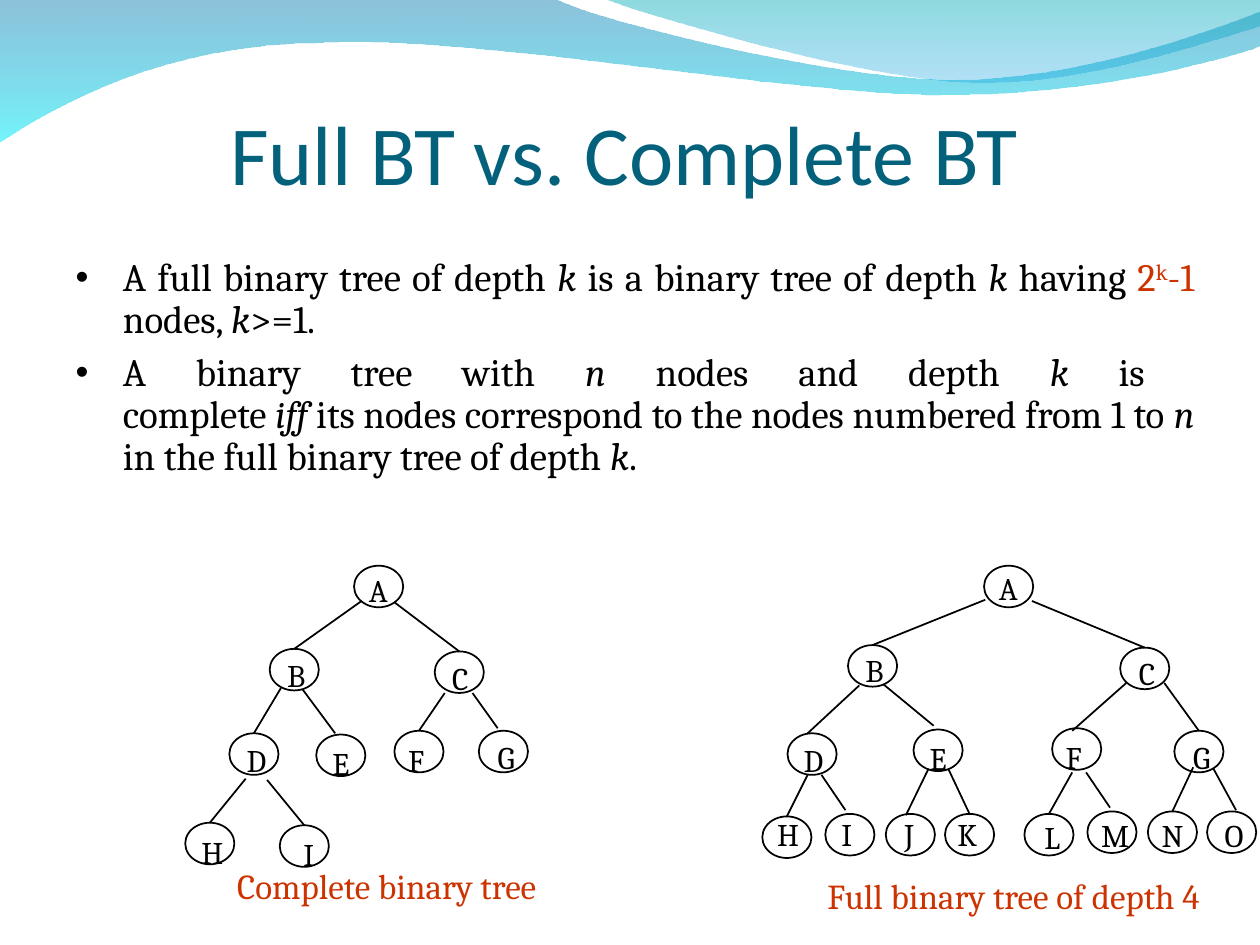
from dataclasses import dataclass
from typing import Any, NamedTuple, Optional

from lxml import etree
from pptx import Presentation
from pptx import util as u
from pptx.dml.color import RGBColor
from pptx.enum import shapes, text
from pptx.oxml import ns

Point = tuple[float, float]


@dataclass(frozen=True)
class Theme:
    ink: RGBColor = RGBColor(0, 0, 0)
    accent: RGBColor = RGBColor(0xCC, 0x33, 0x00)
    title: RGBColor = RGBColor(0x04, 0x61, 0x7B)
    heading_font: str = "Calibri"
    body_font: str = "Cambria"
    title_size: float = 48
    body_size: float = 22.2
    caption_size: float = 20
    label_size: float = 18
    line_width: float = 1


class Node(NamedTuple):
    """A tree node; its edge ends at the top of its circle unless edge_end is given."""
    letter: str
    circle: Point
    label: Point
    edge_start: Optional[Point] = None
    edge_end: Optional[Point] = None


class Stop(NamedTuple):
    color: str
    opacity: int


class Wave(NamedTuple):
    """A closed outline: a segment of one point is a line, of three a Bézier curve."""
    start: Point
    segments: list[list[Point]]
    stops: tuple[Stop, Stop]


class Caption(NamedTuple):
    wording: str
    box: tuple[float, float, float, float]


THEME = Theme()
NODE_SIZE = (0.39, 0.33)
LABEL_HEIGHT = 0.4
LABEL_WIDTHS = dict(A=0.38, B=0.37, C=0.36, D=0.38, E=0.36, F=0.35, G=0.38, H=0.4,
                    I=0.29, J=0.35, K=0.38, L=0.36, M=0.44, N=0.39, O=0.39)

WAVES = [
    Wave((0, -0.01),
         [[(4.4, -0.01)],
          [(4.76, 0.17), (6.64, 0.63), (7.58, 0.63)],
          [(8.53, 0.63), (9.58, 0.26), (10, 0.09)],
          [(10.01, 0.36)],
          [(9.83, 0.44), (8.7, 0.76), (7.46, 0.75)],
          [(6.22, 0.75), (3.82, 0.28), (2.57, 0.34)],
          [(1.29, 0.35), (0.46, 0.83), (-0.01, 1.13)],
          [(0, -0.01)]],
         (Stop("0079AF", 45), Stop("00EBF8", 55))),
    Wave((4.79, -0.01),
         [[(5.09, 0.11), (6.82, 0.62), (7.69, 0.65)],
          [(8.56, 0.69), (9.61, 0.32), (10, 0.21)],
          [(10, 0)],
          [(4.79, -0.01)]],
         (Stop("00ADB6", 45), Stop("009BE5", 30))),
]

COMPLETE_TREE = [
    Node("A", (2.81, 4.49), (2.83, 4.48)),
    Node("B", (2.14, 5.15), (2.18, 5.16), (2.87, 4.77)),
    Node("C", (3.45, 5.17), (3.49, 5.18), (3.13, 4.78)),
    Node("D", (1.82, 5.82), (1.86, 5.83), (2.23, 5.46)),
    Node("E", (2.51, 5.83), (2.54, 5.86), (2.4, 5.47), (2.66, 5.82)),
    Node("F", (3.13, 5.8), (3.14, 5.83), (3.53, 5.5)),
    Node("G", (3.8, 5.8), (3.85, 5.81), (3.75, 5.5), (3.95, 5.78)),
    Node("H", (1.47, 6.53), (1.5, 6.56), (1.95, 6.18)),
    Node("I", (2.22, 6.55), (2.31, 6.58), (2.12, 6.19)),
]
FULL_TREE = [
    Node("A", (7.81, 4.49), (7.83, 4.47)),
    Node("B", (6.73, 5.12), (6.77, 5.12), (7.82, 4.76)),
    Node("C", (8.89, 5.14), (8.94, 5.14), (8.19, 4.77)),
    Node("D", (6.25, 5.82), (6.28, 5.83), (6.82, 5.44), (6.41, 5.82)),
    Node("E", (7.25, 5.79), (7.28, 5.82), (7.01, 5.43), (7.41, 5.76)),
    Node("F", (8.35, 5.78), (8.36, 5.81), (8.94, 5.42), (8.51, 5.8)),
    Node("G", (9.32, 5.8), (9.37, 5.81), (9.24, 5.42)),
    Node("H", (6.05, 6.48), (6.07, 6.42), (6.41, 6.15)),
    Node("I", (6.55, 6.46), (6.58, 6.42), (6.52, 6.15), (6.71, 6.43)),
    Node("J", (7.03, 6.46), (7.08, 6.42), (7.37, 6.1), (7.19, 6.47)),
    Node("K", (7.5, 6.46), (7.5, 6.42), (7.53, 6.11)),
    Node("L", (8.13, 6.46), (8.19, 6.44), (8.51, 6.13)),
    Node("M", (8.63, 6.44), (8.64, 6.43), (8.62, 6.13), (8.81, 6.41)),
    Node("N", (9.11, 6.44), (9.12, 6.43), (9.47, 6.09)),
    Node("O", (9.58, 6.44), (9.62, 6.43), (9.63, 6.1), (9.81, 6.43)),
]
CAPTIONS = [Caption("Full binary tree of depth 4", (6.21, 6.89, 3.67, 0.44)),
            Caption("Complete binary tree", (1.57, 6.81, 3, 0.44))]

ITALIC = {"italic": True}
ACCENT = {"color": THEME.accent}
DEFINITIONS = [
    [("A full binary tree of depth ", {}), ("k", ITALIC), (" is a binary tree of depth ", {}),
     ("k", ITALIC), (" having ", {}), ("2", ACCENT), ("k", {**ACCENT, "raised": True}),
     ("-1", ACCENT), (" nodes, ", {}), ("k", ITALIC), (">=1.", {})],
    [("A binary tree with ", {}), ("n", ITALIC), (" nodes and depth ", {}), ("k", ITALIC),
     (" is ", {}), ("\n", {}), ("complete ", {}), ("iff", ITALIC),
     (" its nodes correspond to the nodes numbered from 1 to ", {}), ("n", ITALIC),
     (" in the full binary tree of depth ", {}), ("k", ITALIC), (".", {})],
]


def apply_format(target: Any, **values: Any) -> None:
    for name, value in values.items():
        setattr(target, name, value)


def add_run(paragraph: Any, wording: str, size: float, font: str = THEME.body_font,
            color: RGBColor = THEME.ink, italic: bool = False, raised: bool = False) -> None:
    run = paragraph.add_run()
    run.text = wording
    apply_format(run.font, name=font, size=u.Pt(size), italic=italic)
    run.font.color.rgb = color
    if raised:
        run.font._element.set("baseline", "30000")


def place(shape: Any, left: float, top: float, width: float, height: float) -> None:
    apply_format(shape, left=u.Inches(left), top=u.Inches(top),
                 width=u.Inches(width), height=u.Inches(height))


def add_label(slide: Any, wording: str, box: tuple, size: float, color: RGBColor,
              alignment: Any = text.PP_ALIGN.LEFT) -> None:
    frame = slide.shapes.add_textbox(*map(u.Inches, box)).text_frame
    apply_format(frame, word_wrap=False, auto_size=text.MSO_AUTO_SIZE.SHAPE_TO_FIT_TEXT)
    frame.paragraphs[0].alignment = alignment
    add_run(frame.paragraphs[0], wording, size, color=color)


def style_line(shape: Any) -> None:
    shape.line.color.rgb = THEME.ink
    shape.line.width = u.Pt(THEME.line_width)


def bend_segments(shape: Any, segments: list[list[Point]]) -> None:
    """Merge the three lines through each curve's points into one Bézier curve."""
    lines = iter(list(shape._element.spPr.iter(ns.qn("a:lnTo"))))
    for segment in segments:
        parts = [next(lines) for _ in segment]
        if len(parts) == 3:
            curve = etree.Element(ns.qn("a:cubicBezTo"))
            parts[0].addprevious(curve)
            for part in parts:
                curve.append(part[0])
                part.getparent().remove(part)


def add_wave(slide: Any, master: Any, wave: Wave, depth: int) -> None:
    """Draw a wave and hand it to the master, behind its placeholders."""
    units = 100
    outline = [wave.start] + [point for segment in wave.segments for point in segment]
    scaled = [(round(x * units), round(y * units)) for x, y in outline]
    builder = slide.shapes.build_freeform(*scaled[0], scale=u.Inches(1) / units)
    builder.add_line_segments(scaled[1:], close=True)
    shape = builder.convert_to_shape()
    bend_segments(shape, wave.segments)
    shape.shadow.inherit = False
    shape.line.fill.background()
    shape.fill.gradient()
    shape.fill.gradient_angle = 270
    for gradient_stop, stop in zip(shape.fill.gradient_stops, wave.stops):
        gradient_stop.color.rgb = RGBColor.from_string(stop.color)
    for color, stop in zip(shape._element.spPr.iter(ns.qn("a:srgbClr")), wave.stops):
        etree.SubElement(color, ns.qn("a:alpha"), val=str(stop.opacity * 1000))
    master.shapes._spTree.insert(2 + depth, shape._element)


def add_node(slide: Any, node: Node) -> None:
    circle = slide.shapes.add_shape(shapes.MSO_SHAPE.OVAL, *map(u.Inches, node.circle + NODE_SIZE))
    circle.shadow.inherit = False
    circle.fill.background()
    style_line(circle)
    box = node.label + (LABEL_WIDTHS[node.letter], LABEL_HEIGHT)
    add_label(slide, node.letter, box, THEME.label_size, THEME.ink)
    if node.edge_start:
        ends = node.edge_start + (node.edge_end or node.circle)
        edge = slide.shapes.add_connector(shapes.MSO_CONNECTOR.STRAIGHT, *map(u.Inches, ends))
        if node.edge_end is None:
            edge.end_connect(circle, 0)
        style_line(edge)
        etree.SubElement(edge._element.spPr, ns.qn("a:effectLst"))


def add_bullet(paragraph: Any) -> None:
    apply_format(paragraph, alignment=text.PP_ALIGN.JUSTIFY, line_spacing=0.9,
                 space_before=u.Pt(6))
    properties = paragraph._p.get_or_add_pPr()
    color = etree.SubElement(properties, ns.qn("a:buClr"))
    etree.SubElement(color, ns.qn("a:srgbClr"), val=str(THEME.ink))
    etree.SubElement(properties, ns.qn("a:buSzPct"), val="95000")
    etree.SubElement(properties, ns.qn("a:buChar"), char="•")


def fill_title(title: Any) -> None:
    place(title, 0.83, 0.58, 8.25, 1.25)
    apply_format(title.text_frame, vertical_anchor=text.MSO_ANCHOR.MIDDLE,
                 auto_size=text.MSO_AUTO_SIZE.NONE)
    paragraph = title.text_frame.paragraphs[0]
    paragraph.alignment = text.PP_ALIGN.CENTER
    add_run(paragraph, "Full BT vs. Complete BT", THEME.title_size, THEME.heading_font, THEME.title)


def fill_body(body: Any) -> None:
    place(body, 0.5, 2, 9.08, 2.49)
    frame = body.text_frame
    frame.auto_size = text.MSO_AUTO_SIZE.NONE
    for index, definition in enumerate(DEFINITIONS):
        paragraph = frame.add_paragraph() if index else frame.paragraphs[0]
        add_bullet(paragraph)
        for wording, style in definition:
            if wording == "\n":
                paragraph.add_line_break()
            else:
                add_run(paragraph, wording, THEME.body_size, **style)


def main() -> None:
    presentation = Presentation()
    apply_format(presentation, slide_width=u.Inches(10), slide_height=u.Inches(7.5))
    slide = presentation.slides.add_slide(presentation.slide_layouts[1])
    for depth, wave in enumerate(WAVES):
        add_wave(slide, presentation.slide_master, wave, depth)
    fill_title(slide.shapes.title)
    fill_body(slide.placeholders[1])
    for node in COMPLETE_TREE + FULL_TREE:
        add_node(slide, node)
    for caption in CAPTIONS:
        add_label(slide, caption.wording, caption.box, THEME.caption_size, THEME.accent,
                  text.PP_ALIGN.CENTER)
    presentation.save("out.pptx")


if __name__ == "__main__":
    main()
